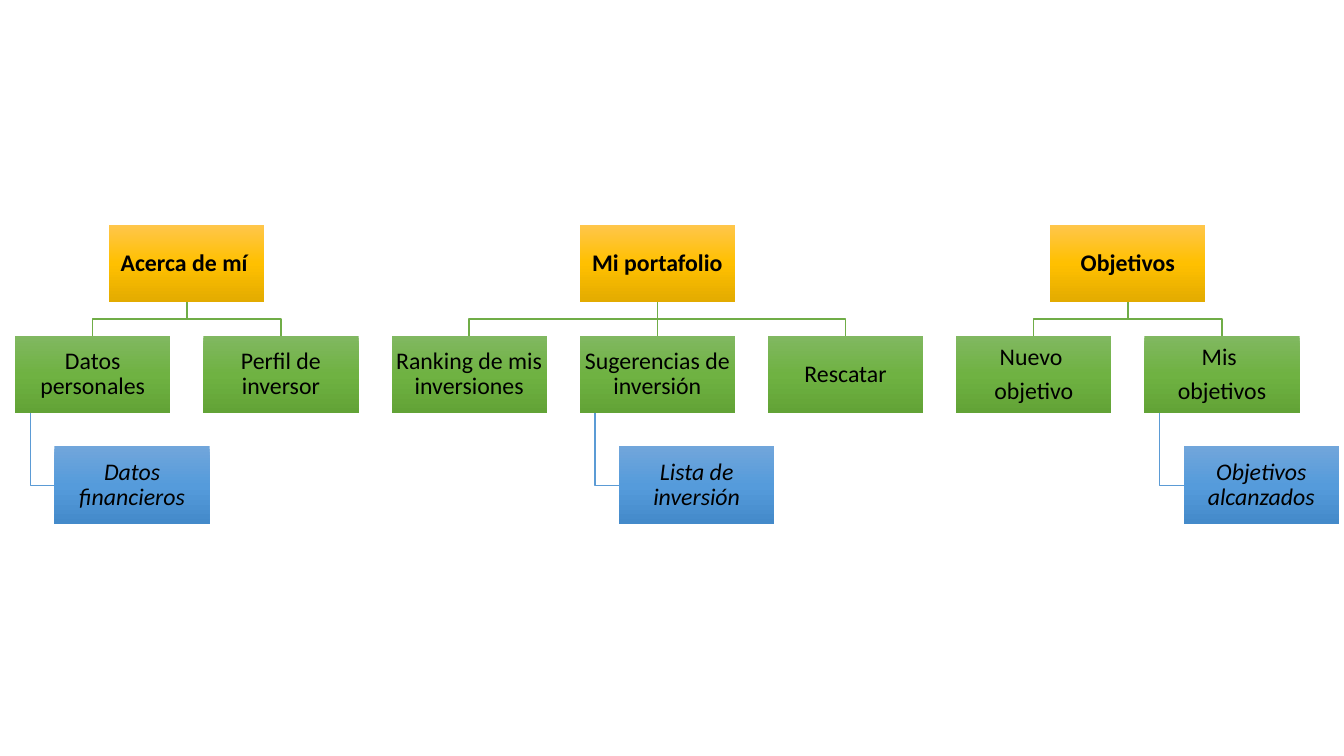
import pptx
import pptx.util
import pptx.dml.color
import pptx.enum.dml
import pptx.enum.shapes
import pptx.enum.text
import pptx.oxml.ns
import copy
import lxml.etree

Inches = pptx.util.Inches
Pt = pptx.util.Pt

COLORS = {
    "gold": ("FFC64B", "FFC000", "E3AB00"),
    "green": ("81B861", "6FB242", "62A336"),
    "blue": ("71A6DB", "559BDB", "448ACA"),
    "branch": "70AD47",
    "stem": "5B9BD5",
    "ink": "000000",
}
WIDE, HIGH = 1.54, 0.77
STEP = 11.2 / 6
ROW = 1.1
GAP = ROW - HIGH
INDENT = 0.39
STEM = 0.15

TREES = [
    (0, "Acerca de mí ", [("Datos personales", "Datos financieros"),
                          ("Perfil de inversor", None)]),
    (2, "Mi portafolio", [("Ranking de mis inversiones", None),
                          ("Sugerencias de inversión", "Lista de inversión"),
                          ("Rescatar", None)]),
    (5, "Objetivos", [("Nuevo \nobjetivo", None),
                      ("Mis \nobjetivos", "Objetivos alcanzados")]),
]


def tint(code):
    """Turn a hex string into a colour."""
    return pptx.dml.color.RGBColor.from_string(code)


def shade(shape, codes):
    """Fill a shape with a vertical gradient of three stops."""
    fill = shape.fill
    fill.gradient()
    fill.gradient_angle = 270
    stops = shape._element.spPr.find(".//" + pptx.oxml.ns.qn("a:gsLst"))
    stops.insert(1, copy.deepcopy(stops[0]))
    for stop, code, place in zip(fill.gradient_stops, codes, (0, 0.5, 1)):
        stop.color.rgb = tint(code)
        stop.position = place


def write(frame, text, size=17, bold=False, slant=False, ink="ink"):
    """Write centred text, one paragraph per line."""
    frame.word_wrap = True
    frame.vertical_anchor = pptx.enum.text.MSO_ANCHOR.MIDDLE
    for side in ("left", "right", "top", "bottom"):
        setattr(frame, "margin_" + side, Inches(0.01))
    for order, line in enumerate(text.split("\n")):
        para = frame.add_paragraph() if order else frame.paragraphs[0]
        para.alignment = pptx.enum.text.PP_ALIGN.CENTER
        para.line_spacing = 0.9
        para.space_after = Pt(6)
        run = para.add_run()
        run.text = line
        font = run.font
        font.name, font.size = "Calibri", Pt(size)
        font.bold, font.italic = bold, slant
        font.color.rgb = tint(COLORS[ink])


def card(slide, left, top, text, color, **style):
    """Place one labelled box."""
    shape = slide.shapes.add_shape(
        pptx.enum.shapes.MSO_SHAPE.RECTANGLE,
        Inches(left), Inches(top), Inches(WIDE), Inches(HIGH))
    shape.shadow.inherit = False
    shape.line.fill.background()
    shade(shape, COLORS[color])
    write(shape.text_frame, text, **style)


def link(slide, points, color):
    """Draw a straight or bent line through the points."""
    spots = [(Inches(x), Inches(y)) for x, y in points]
    if len(spots) == 2:
        line = slide.shapes.add_connector(
            pptx.enum.shapes.MSO_CONNECTOR.STRAIGHT, *spots[0], *spots[1])
        lxml.etree.SubElement(line._element.spPr, pptx.oxml.ns.qn("a:effectLst"))
    else:
        pen = slide.shapes.build_freeform(*spots[0])
        pen.add_line_segments(spots[1:], close=False)
        line = pen.convert_to_shape()
        line.shadow.inherit = False
        line.fill.background()
    line.line.color.rgb = tint(COLORS[color])
    line.line.width = Pt(1)


def tree(slide, left, top, title, items):
    """Place a heading over its row of items and their details."""
    head = left + (len(items) - 1) * STEP / 2
    mid, base = head + WIDE / 2, top + HIGH
    row, low = top + ROW, top + 2 * ROW
    for order, (name, detail) in enumerate(items):
        x = left + order * STEP
        goal = x + WIDE / 2
        bend = [(mid, base + GAP / 2), (goal, base + GAP / 2)]
        if abs(goal - mid) < 0.01:
            bend = []
        link(slide, [(mid, base), *bend, (goal, row)], "branch")
        card(slide, x, row, name, "green")
        if detail:
            stem, level = x + STEM, low + HIGH / 2
            link(slide, [(stem, row + HIGH), (stem, level),
                         (x + INDENT, level)], "stem")
            card(slide, x + INDENT, low, detail, "blue", slant=True)
    card(slide, head, top, title, "gold", bold=True)


def main():
    """Build and save the slide."""
    deck = pptx.Presentation()
    deck.slide_width, deck.slide_height = Inches(13.33), Inches(7.5)
    slide = deck.slides.add_slide(deck.slide_layouts[6])
    for start, title, items in TREES:
        tree(slide, 0.15 + start * STEP, 2.23, title, items)
    deck.save("out.pptx")


main()
